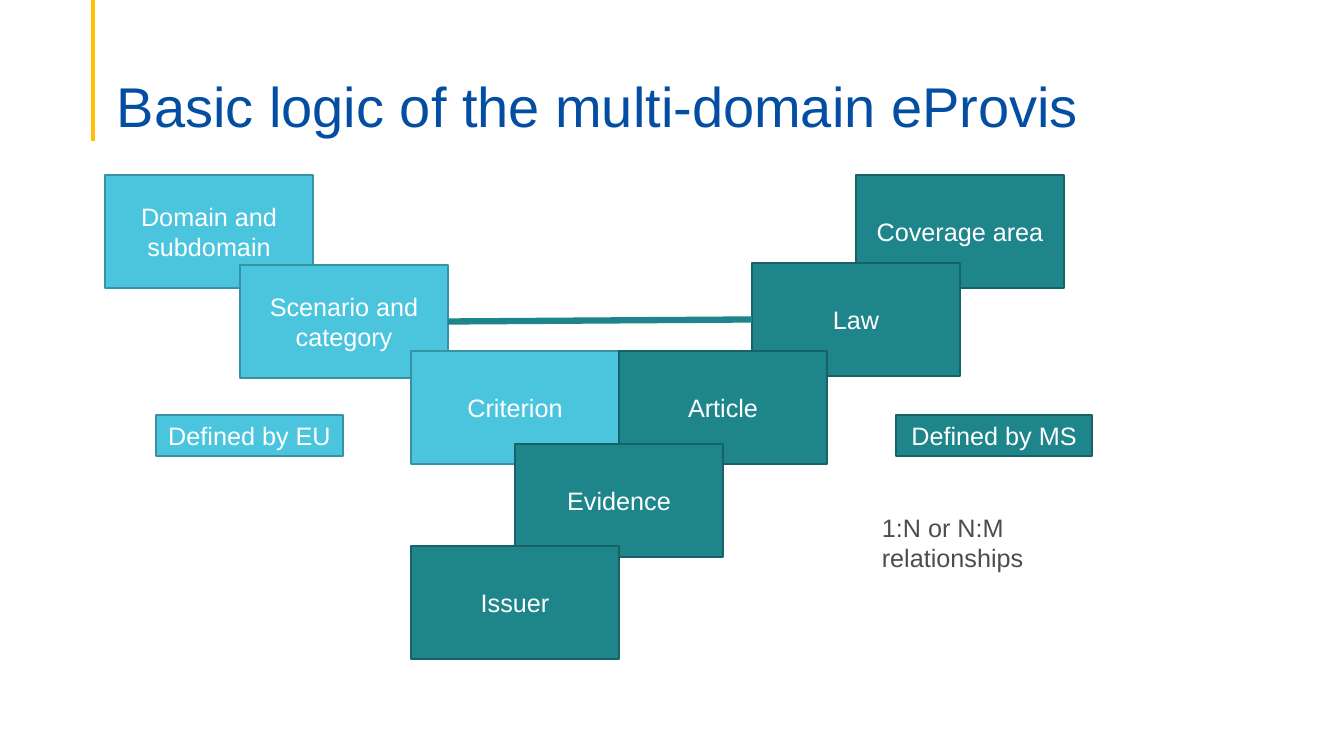
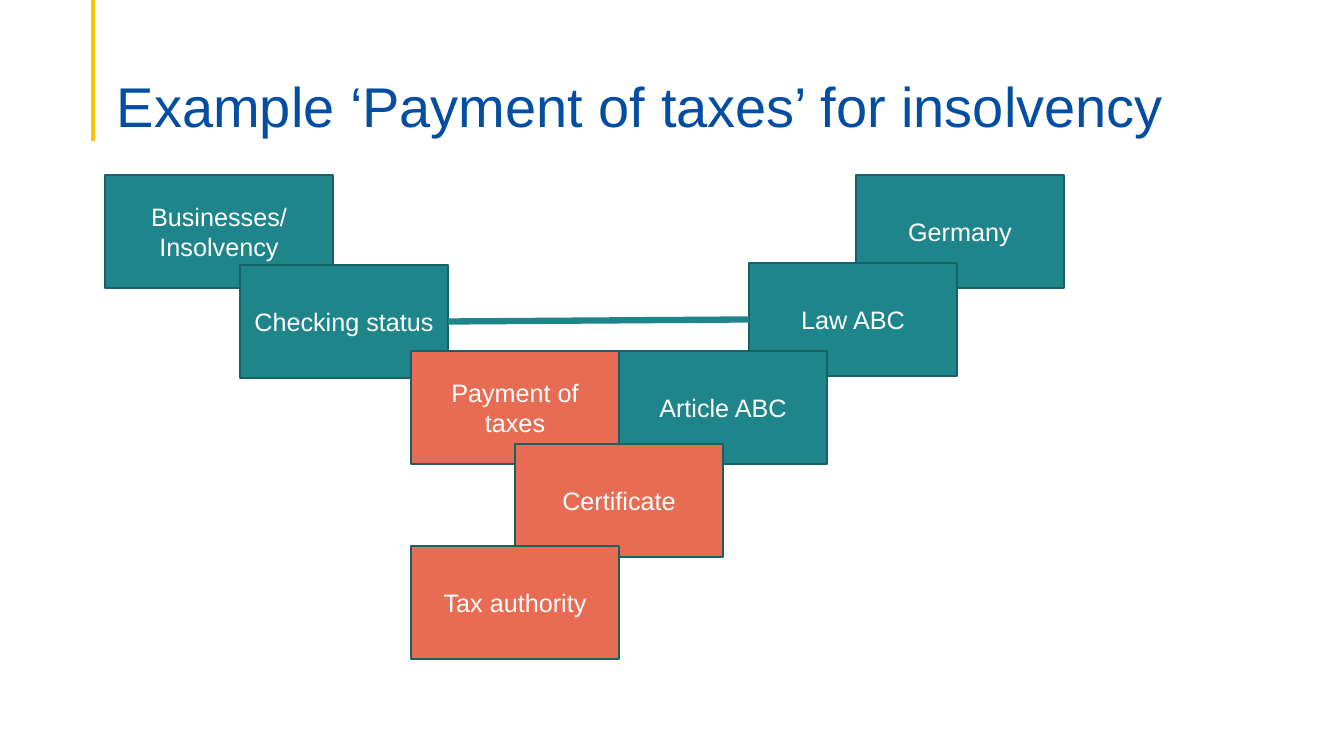
import pptx
import pptx.util
import pptx.dml.color
import pptx.enum.shapes
import pptx.enum.text
import pptx.oxml.ns
import lxml.etree

SCALE = 914400 / 100.8  # EMU in one px
FONT = "Arial"
TITLE_COLOUR, ACCENT, GREY, WHITE = "034EA2", "FFC000", "4D4D4D", "FFFFFF"
TEAL = "1E858B"
STYLES = {  # fill, outline
    "teal": (TEAL, "166267"),
    "cyan": ("4BC5DE", "3792A4"),
    "coral": ("E76C53", "166267"),
}

# Diagram layout, from back to front: left, top
BOX_W, BOX_H = 208, 113
CENTRE_X = 411
PLACES = {
    "area": (856, 175),
    "domain": (105, 175),
    "law": (752, 263),
    "scenario": (240, 265),
    "criterion": (CENTRE_X, 351),
    "article": (CENTRE_X + BOX_W, 351),
    "evidence": (CENTRE_X + BOX_W // 2, 444),
    "issuer": (CENTRE_X, 546),
}

# Content: label and style of each box; legend entries are left, width, label, style
SLIDES = [
    {
        "title": "Basic logic of the multi-domain eProvis",
        "boxes": {
            "area": ("Coverage area", "teal"),
            "domain": ("Domain and subdomain", "cyan"),
            "law": ("Law", "teal"),
            "scenario": ("Scenario and category", "cyan"),
            "criterion": ("Criterion", "cyan"),
            "article": ("Article", "teal"),
            "evidence": ("Evidence", "teal"),
            "issuer": ("Issuer", "teal"),
        },
        "legend": [
            (156, 187, "Defined by EU", "cyan"),
            (896, 196, "Defined by MS", "teal"),
        ],
        "note": "1:N or N:M relationships",
    },
    {
        "title": "Example ‘Payment of taxes’ for insolvency",
        "boxes": {
            "area": ("Germany", "teal"),
            "domain": ("Businesses/ Insolvency", "teal"),
            "law": ("Law ABC", "teal"),
            "scenario": ("Checking status", "teal"),
            "criterion": ("Payment of taxes", "coral"),
            "article": ("Article ABC", "teal"),
            "evidence": ("Certificate", "coral"),
            "issuer": ("Tax authority", "coral"),
        },
        "widths": {"domain": 228},
        "lefts": {"law": 749},
    },
]


def px(*lengths):
    return [round(length * SCALE) for length in lengths]


def colour(value):
    return pptx.dml.color.RGBColor.from_string(value)


def write(shape, text, size, text_colour, align="LEFT", anchor="TOP"):
    frame = shape.text_frame
    frame.word_wrap = True
    frame.vertical_anchor = getattr(pptx.enum.text.MSO_ANCHOR, anchor)
    frame.text = text
    para = frame.paragraphs[0]
    para.alignment = getattr(pptx.enum.text.PP_ALIGN, align)
    font = para.runs[0].font
    font.name, font.size = FONT, pptx.util.Pt(size)
    font.color.rgb = colour(text_colour)
    return frame


def add_box(page, left, top, width, height, text, style):
    box = page.shapes.add_shape(
        pptx.enum.shapes.MSO_SHAPE.RECTANGLE, *px(left, top, width, height))
    box.shadow.inherit = False
    fill, outline = STYLES[style]
    box.fill.solid()
    box.fill.fore_color.rgb = colour(fill)
    box.line.color.rgb = colour(outline)
    box.line.width = pptx.util.Pt(1)
    write(box, text, 18, WHITE, "CENTER", "MIDDLE")
    return box


def add_line(page, start, end, line_colour, width):
    line = page.shapes.add_connector(
        pptx.enum.shapes.MSO_CONNECTOR.STRAIGHT, *px(*start, *end))
    line.line.color.rgb = colour(line_colour)
    line.line.width = pptx.util.Pt(width)
    properties = line._element.spPr
    lxml.etree.SubElement(properties, pptx.oxml.ns.qn("a:effectLst"))
    return line


def add_title(page, text):
    add_line(page, (93, 0), (93, 141), ACCENT, 2.25)
    frame = write(page.shapes.add_textbox(*px(107, 53, 1159, 87)),
                  text, 40, TITLE_COLOUR, anchor="BOTTOM")
    frame.margin_bottom = 0
    frame.paragraphs[0].line_spacing = 0.9


def add_diagram(page, content):
    boxes = {}
    for name, (left, top) in PLACES.items():
        left = content.get("lefts", {}).get(name, left)
        width = content.get("widths", {}).get(name, BOX_W)
        boxes[name] = add_box(page, left, top, width, BOX_H, *content["boxes"][name])
    # Link from the law to the scenario
    link = add_line(page, (0, 0), (1, 1), TEAL, 4.5)
    link.begin_connect(boxes["law"], 1)
    link.end_connect(boxes["scenario"], 3)


def main():
    deck = pptx.Presentation()
    deck.slide_width, deck.slide_height = px(1344, 756)
    for content in SLIDES:
        page = deck.slides.add_slide(deck.slide_layouts[6])
        add_title(page, content["title"])
        add_diagram(page, content)
        # Legend and note
        for left, width, label, style in content.get("legend", []):
            add_box(page, left, 415, width, 41, label, style)
        if "note" in content:
            write(page.shapes.add_textbox(*px(872, 507, 200, 70)),
                  content["note"], 18, GREY)
    deck.save("out.pptx")


if __name__ == "__main__":
    main()
